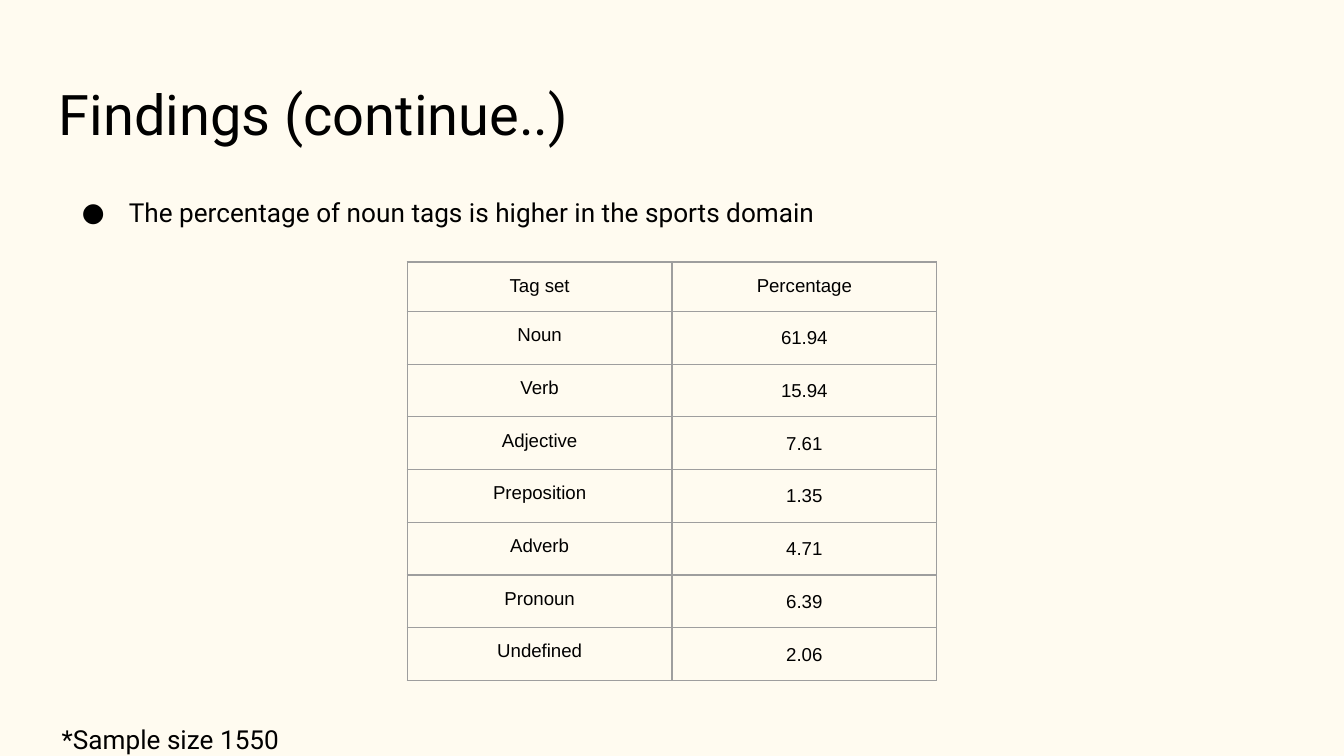
from lxml.etree import SubElement
from pptx import Presentation
from pptx.dml.color import RGBColor
from pptx.enum.text import MSO_ANCHOR as Anchor, PP_ALIGN as Align
from pptx.oxml.ns import qn
from pptx.util import Inches, Pt

TITLE = "Findings (continue..)"
FINDING = "The percentage of noun tags is higher in the sports domain"
NOTE = "*Sample size 1550"
TAG_ROWS = [
    ("Tag set", "Percentage"),
    ("Noun", "61.94"),
    ("Verb", "15.94"),
    ("Adjective", "7.61"),
    ("Preposition", "1.35"),
    ("Adverb", "4.71"),
    ("Pronoun", "6.39"),
    ("Undefined", "2.06"),
]

CREAM = RGBColor(0xFF, 0xFB, 0xF0)
BLACK = RGBColor(0, 0, 0)
GREY = RGBColor(0x9E, 0x9E, 0x9E)

SLIDE_WIDTH = 10
SLIDE_HEIGHT = SLIDE_WIDTH * 9 / 16
TEXT_WIDTH = 9.32
TEXT_FONT, TABLE_FONT = "Roboto", "Arial"
COLUMN_WIDTH = 1.97
HEADER_HEIGHT, ROW_HEIGHT = 0.35, 0.39
TABLE_TOP = 1.95
NOTE_GAP = 263
MARGINS = {f"margin_{side}": Inches(0.1) for side in ("left", "right", "top", "bottom")}


def apply(target, values):
    for name, value in values.items():
        setattr(target, name, value)


def write(paragraph, text, font, size, **layout):
    run = paragraph.add_run()
    run.text = text
    apply(run.font, {"name": font, "size": Pt(size)})
    run.font.color.rgb = BLACK
    apply(paragraph, layout)


def add_text_frame(slide, left, top, height):
    box = slide.shapes.add_textbox(Inches(left), Inches(top), Inches(TEXT_WIDTH), Inches(height))
    apply(box.text_frame, {"word_wrap": True, "vertical_anchor": Anchor.TOP, **MARGINS})
    return box.text_frame


def add_bullet(paragraph):
    properties = paragraph._p.get_or_add_pPr()
    properties.set("marL", str(Inches(0.5)))
    properties.set("indent", str(Inches(-0.35)))
    color = SubElement(properties, qn("a:buClr"))
    SubElement(color, qn("a:srgbClr"), val=str(BLACK))
    SubElement(properties, qn("a:buFont"), typeface=TEXT_FONT)
    SubElement(properties, qn("a:buChar"), char="●")


def add_body(slide):
    frame = add_text_frame(slide, 0.36, 1.33, 3.72)
    finding = frame.paragraphs[0]
    write(finding, FINDING, TEXT_FONT, 14, line_spacing=1.15)
    add_bullet(finding)
    write(frame.add_paragraph(), NOTE, TEXT_FONT, 14, line_spacing=1.15, space_before=Pt(NOTE_GAP))


def add_borders(cell):
    properties = cell._tc.get_or_add_tcPr()
    for side in ("lnL", "lnR", "lnT", "lnB"):
        line = SubElement(properties, qn(f"a:{side}"), w=str(Pt(0.75)))
        fill = SubElement(line, qn("a:solidFill"))
        SubElement(fill, qn("a:srgbClr"), val=str(GREY))


def add_tag_table(slide):
    heights = [HEADER_HEIGHT] + [ROW_HEIGHT] * (len(TAG_ROWS) - 1)
    width = COLUMN_WIDTH * len(TAG_ROWS[0])
    table = slide.shapes.add_table(
        len(TAG_ROWS), len(TAG_ROWS[0]), Inches((SLIDE_WIDTH - width) / 2),
        Inches(TABLE_TOP), Inches(width), Inches(sum(heights))).table
    apply(table, {"first_row": False, "horz_banding": False})
    for column in table.columns:
        column.width = Inches(COLUMN_WIDTH)
    for row_index, (values, height) in enumerate(zip(TAG_ROWS, heights)):
        table.rows[row_index].height = Inches(height)
        for column_index, value in enumerate(values):
            cell = table.cell(row_index, column_index)
            apply(cell, {"vertical_anchor": Anchor.TOP, **MARGINS})
            spacing = 1.15 if row_index and column_index else 1.0
            write(cell.text_frame.paragraphs[0], value, TABLE_FONT, 10,
                  alignment=Align.CENTER, line_spacing=spacing)
            add_borders(cell)
            cell.fill.background()


def main():
    presentation = Presentation()
    apply(presentation, {"slide_width": Inches(SLIDE_WIDTH), "slide_height": Inches(SLIDE_HEIGHT)})
    slide = presentation.slides.add_slide(presentation.slide_layouts[6])
    slide.background.fill.solid()
    slide.background.fill.fore_color.rgb = CREAM
    title_frame = add_text_frame(slide, 0.34, 0.49, 0.67)
    write(title_frame.paragraphs[0], TITLE, TEXT_FONT, 30)
    add_body(slide)
    add_tag_table(slide)
    presentation.save("out.pptx")


if __name__ == "__main__":
    main()
